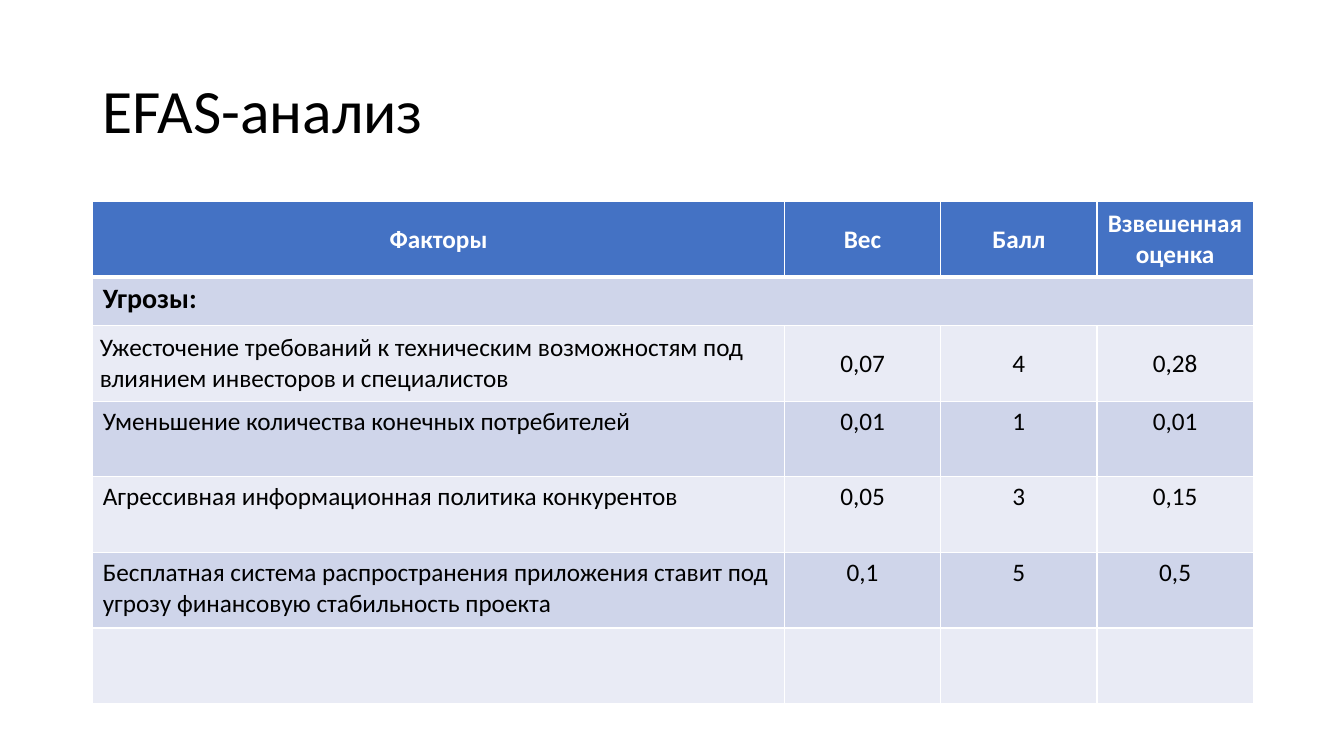
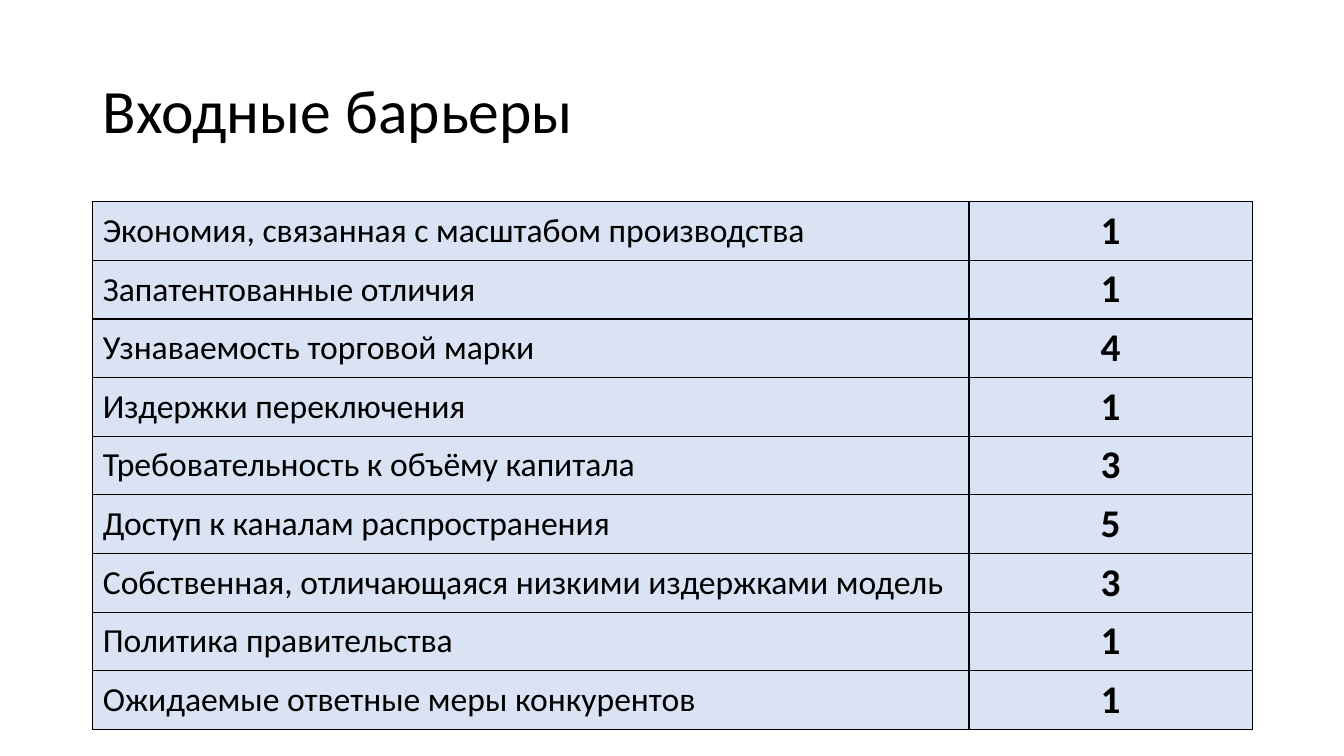
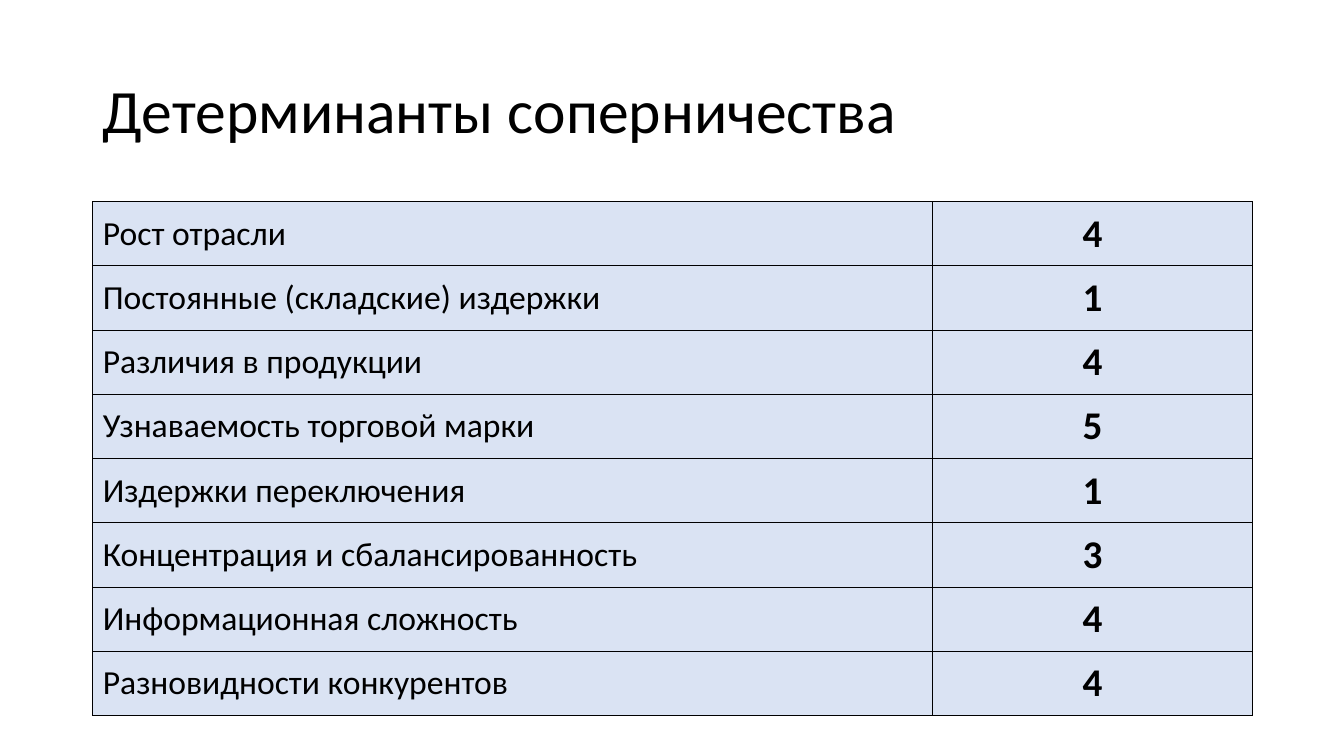
from dataclasses import dataclass

from lxml import etree
from pptx import Presentation
from pptx.dml.color import RGBColor
from pptx.enum.text import MSO_ANCHOR, PP_ALIGN
from pptx.oxml.ns import qn
from pptx.util import Inches, Pt

LEFT, CENTER = PP_ALIGN.LEFT, PP_ALIGN.CENTER
TOP, MIDDLE = MSO_ANCHOR.TOP, MSO_ANCHOR.MIDDLE


@dataclass(frozen=True)
class Theme:
    font: str = "Calibri"
    black: str = "000000"
    white: str = "FFFFFF"
    header: str = "4472C4"
    band_dark: str = "CFD5EA"
    band_light: str = "E9EBF5"
    score_fill: str = "DAE3F3"
    title_size: int = 44
    body_size: int = 18
    group_size: int = 20
    label_size: int = 24
    score_size: int = 28


T = Theme()
MARGIN, CONTENT_W, TABLE_TOP = 0.92, 11.5, 2

prs = Presentation()
prs.slide_width, prs.slide_height = Inches(13.33), Inches(7.5)


def add_titled_table(title, rows, widths, height):
    """Add a slide with a title and an unstyled table; return the table."""
    s = prs.slides.add_slide(prs.slide_layouts[6])
    sp = s.shapes.add_textbox(Inches(MARGIN), Inches(0.4), Inches(CONTENT_W), Inches(1.45))
    tf = sp.text_frame
    tf.word_wrap, tf.vertical_anchor = True, MIDDLE
    p = tf.paragraphs[0]
    p.line_spacing = 0.9
    r = p.add_run()
    r.text = title
    r.font.name, r.font.size = T.font, Pt(T.title_size)
    r.font.color.rgb = RGBColor.from_string(T.black)

    table = s.shapes.add_table(rows, len(widths), Inches(MARGIN), Inches(TABLE_TOP),
                               Inches(CONTENT_W), Inches(height)).table
    table.first_row = table.horz_banding = False
    for column, width in zip(table.columns, widths):
        column.width = Inches(width)
    return table


def fill_cell(cell, text, fill, border, size, color=T.black, bold=False,
              align=LEFT, anchor=MIDDLE, top=1, bottom=1):
    """Write and format a cell; top and bottom are border widths in points."""
    tcPr = cell._tc.get_or_add_tcPr()
    for side, width in {"L": 1, "R": 1, "T": top, "B": bottom}.items():
        ln = etree.SubElement(tcPr, qn(f"a:ln{side}"), w=str(Pt(width)))
        solid = etree.SubElement(ln, qn("a:solidFill"))
        etree.SubElement(solid, qn("a:srgbClr"), val=border)
    cell.fill.solid()
    cell.fill.fore_color.rgb = RGBColor.from_string(fill)
    cell.vertical_anchor = anchor
    p = cell.text_frame.paragraphs[0]
    p.alignment = align
    if text:
        r = p.add_run()
        r.text = text
        for name, value in {"name": T.font, "size": Pt(size), "bold": bold}.items():
            setattr(r.font, name, value)
        r.font.color.rgb = RGBColor.from_string(color)


# EFAS table
efas = [
    ("Факторы", "Вес", "Балл", "Взвешенная оценка"),
    ("Угрозы:", "", "", ""),
    ("Ужесточение требований к техническим возможностям под влиянием инвесторов и специалистов",
     "0,07", "4", "0,28"),
    ("Уменьшение количества конечных потребителей", "0,01", "1", "0,01"),
    ("Агрессивная информационная политика конкурентов", "0,05", "3", "0,15"),
    ("Бесплатная система распространения приложения ставит под угрозу финансовую стабильность проекта",
     "0,1", "5", "0,5"),
    ("", "", "", ""),
]
HEADER_ROW, GROUP_ROW, INSET_ROW = 0, 1, 2
table = add_titled_table("EFAS-анализ", len(efas), [6.86, 1.55, 1.55, 1.55], 5)
table.first_row = True
for i, values in enumerate(efas):
    table.rows[i].height = Inches(0.48 if i == GROUP_ROW else 0.75)
    style = {"size": T.body_size, "anchor": TOP,
             "fill": T.band_dark if i % 2 else T.band_light}
    if i == HEADER_ROW:
        style.update(fill=T.header, color=T.white, bold=True, anchor=MIDDLE, bottom=3)
    elif i == GROUP_ROW:
        style.update(size=T.group_size, bold=True, top=3)
    elif i == INSET_ROW:
        style.update(anchor=MIDDLE)
    for j, text in enumerate(values):
        cell = table.cell(i, j)
        align = CENTER if j or i == HEADER_ROW else LEFT
        fill_cell(cell, text, border=T.white, align=align, **style)
        if i == INSET_ROW:
            for side in ("left", "top", "right", "bottom"):
                setattr(cell, f"margin_{side}", Inches(0.07))
table.cell(GROUP_ROW, 0).merge(table.cell(GROUP_ROW, 3))

# Score tables: title, column widths, height, rows
score_tables = [
    ("Входные барьеры", [8.69, 2.81], 5.24, [
        ("Экономия, связанная с масштабом производства", 1),
        ("Запатентованные отличия", 1),
        ("Узнаваемость торговой марки", 4),
        ("Издержки переключения", 1),
        ("Требовательность к объёму капитала", 3),
        ("Доступ к каналам распространения", 5),
        ("Собственная, отличающаяся низкими издержками модель", 3),
        ("Политика правительства", 1),
        ("Ожидаемые ответные меры конкурентов", 1),
    ]),
    ("Детерминанты соперничества", [8.33, 3.17], 5.1, [
        ("Рост отрасли", 4),
        ("Постоянные (складские) издержки", 1),
        ("Различия в продукции", 4),
        ("Узнаваемость торговой марки", 5),
        ("Издержки переключения", 1),
        ("Концентрация и сбалансированность", 3),
        ("Информационная сложность", 4),
        ("Разновидности конкурентов", 4),
    ]),
]
for title, widths, height, rows in score_tables:
    table = add_titled_table(title, len(rows), widths, height)
    for i, (label, score) in enumerate(rows):
        fill_cell(table.cell(i, 0), label, T.score_fill, T.black, T.label_size)
        fill_cell(table.cell(i, 1), str(score), T.score_fill, T.black, T.score_size,
                  bold=True, align=CENTER)

prs.save("out.pptx")
